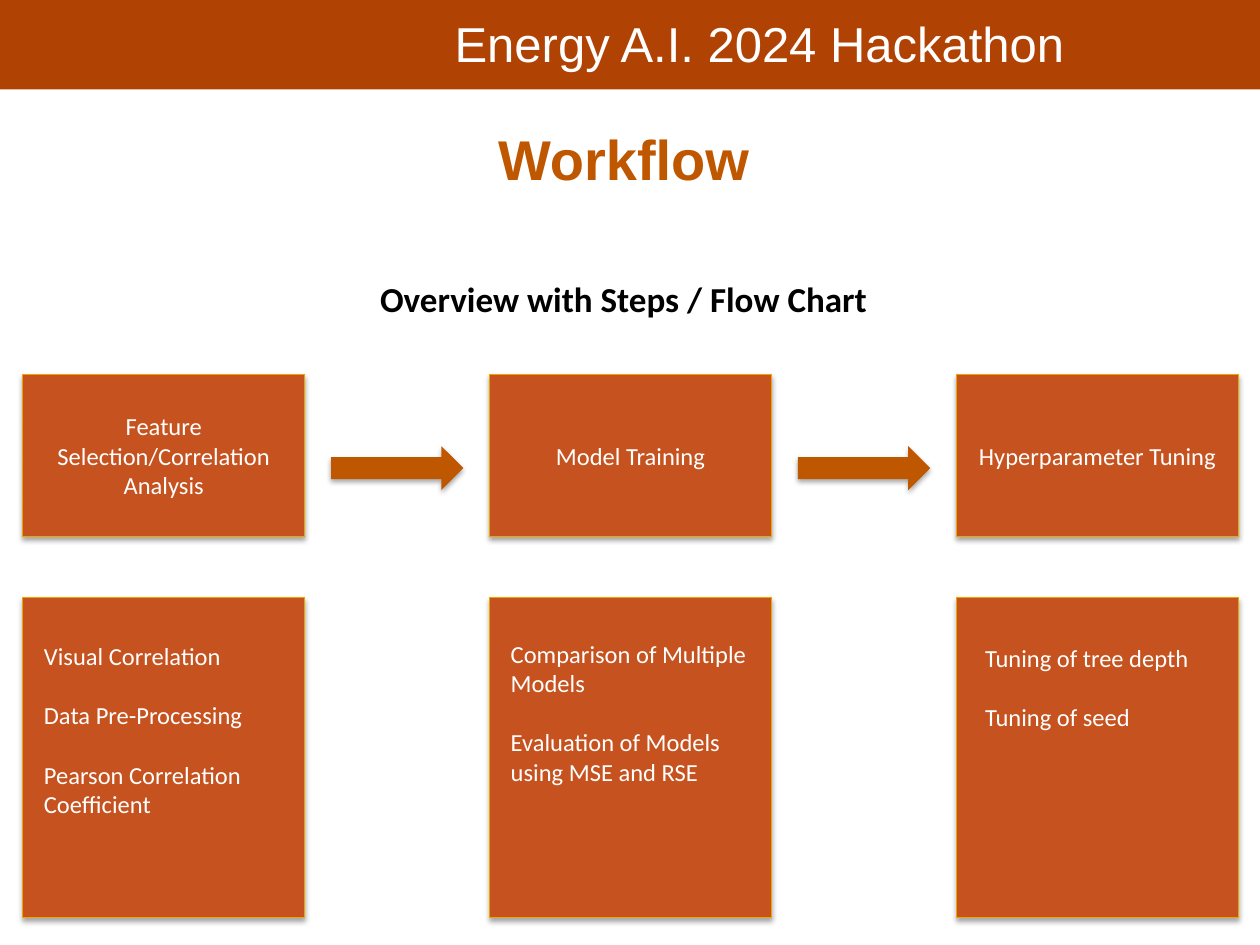
from dataclasses import dataclass

from lxml import etree
from pptx import Presentation
from pptx import util as u
from pptx.dml.color import RGBColor
from pptx.enum import shapes, text
from pptx.oxml.ns import qn

# Slide grid, in inches
SLIDE_W, SLIDE_H = 10, 7.5
LEFT, BOX_W = 0.18, 2.24
PITCH = (7.59 - LEFT) / 2
STEP_TOP, STEP_H = 2.97, 1.29
PANEL_TOP, PANEL_H = 4.74, 2.54
ARROW_TOP, ARROW_W, ARROW_H = 3.54, 1.05, 0.35

BANNER, BOX, EDGE, ACCENT = "B04304", "C6531F", "EDA500", "BF5700"
WHITE, BLACK = "FFFFFF", "000000"


@dataclass
class Style:
    size: float
    font: str = "Calibri"
    color: str = WHITE
    bold: bool = False
    align: text.PP_ALIGN = text.PP_ALIGN.LEFT
    before: float = 0


@dataclass
class Step:
    title: str
    details: list[str]
    inset: float
    top: float


BODY = Style(14)
DETAIL = Style(14, before=17)
STEP = Style(14, align=text.PP_ALIGN.CENTER)
STEPS = [
    Step("Feature Selection/Correlation Analysis",
         ["Visual Correlation", "Data Pre-Processing",
          "Pearson Correlation Coefficient"], 0.07, 5.04),
    Step("Model Training",
         ["Comparison of Multiple Models",
          "Evaluation of Models using MSE and RSE"], 0.07, 5.02),
    Step("Hyperparameter Tuning",
         ["Tuning of tree depth", "Tuning of seed"], 0.13, 5.05),
]


def rgb(value: str) -> RGBColor:
    return RGBColor.from_string(value)


def write(tf, lines: list[tuple[str, Style]]) -> None:
    for i, (line, style) in enumerate(lines):
        p = tf.add_paragraph() if i else tf.paragraphs[0]
        p.text = line
        p.alignment = style.align
        p.space_before = u.Pt(style.before)
        font = p.runs[0].font
        font.size, font.name, font.bold = u.Pt(style.size), style.font, style.bold
        font.color.rgb = rgb(style.color)


def add_text(s, x: float, y: float, w: float, h: float,
             lines: list[tuple[str, Style]], wrap: bool = True) -> None:
    tf = s.shapes.add_textbox(*map(u.Inches, (x, y, w, h))).text_frame
    tf.word_wrap = wrap
    tf.auto_size = text.MSO_AUTO_SIZE.SHAPE_TO_FIT_TEXT
    write(tf, lines)


def add_shadow(sp) -> None:
    effects = sp._element.spPr.find(qn("a:effectLst"))
    outer = etree.SubElement(effects, qn("a:outerShdw"), blurRad=str(u.Pt(3.1)),
                             dist=str(u.Pt(1.8)), dir="5400000", rotWithShape="0")
    color = etree.SubElement(outer, qn("a:srgbClr"), val=BLACK)
    etree.SubElement(color, qn("a:alpha"), val="35000")


def add_block(s, kind, x: float, y: float, w: float, h: float, fill: str,
              edge: str | None = None, shadow: bool = True):
    sp = s.shapes.add_shape(kind, *map(u.Inches, (x, y, w, h)))
    sp.fill.solid()
    sp.fill.fore_color.rgb = rgb(fill)
    if edge:
        sp.line.color.rgb = rgb(edge)
        sp.line.width = u.Pt(0.75)
    else:
        sp.line.fill.background()
    sp.shadow.inherit = False
    if shadow:
        add_shadow(sp)
    return sp


def add_step(s, col: int, step: Step) -> None:
    x = LEFT + col * PITCH
    rect = shapes.MSO_SHAPE.RECTANGLE
    # Step box
    sp = add_block(s, rect, x, STEP_TOP, BOX_W, STEP_H, BOX, EDGE)
    tf = sp.text_frame
    tf.word_wrap = True
    tf.vertical_anchor = text.MSO_ANCHOR.MIDDLE
    write(tf, [(step.title, STEP)])
    # Detail panel with its text
    add_block(s, rect, x, PANEL_TOP, BOX_W, PANEL_H, BOX, EDGE)
    lines = [(line, DETAIL if i else BODY) for i, line in enumerate(step.details)]
    add_text(s, x + step.inset, step.top, 2.09, 1.75, lines)
    # Arrow centred in the gap to the next step
    if col < len(STEPS) - 1:
        gap = PITCH - BOX_W
        add_block(s, shapes.MSO_SHAPE.RIGHT_ARROW, x + BOX_W + (gap - ARROW_W) / 2,
                  ARROW_TOP, ARROW_W, ARROW_H, ACCENT)


def main() -> None:
    prs = Presentation()
    prs.slide_width, prs.slide_height = u.Inches(SLIDE_W), u.Inches(SLIDE_H)
    s = prs.slides.add_slide(prs.slide_layouts[6])

    # Banner
    add_block(s, shapes.MSO_SHAPE.RECTANGLE, 0, -0.01, SLIDE_W, 0.72, BANNER,
              shadow=False)
    add_text(s, 3.51, 0.06, 5.21, 0.57,
             [("Energy A.I. 2024 Hackathon", Style(28, "Arial"))], wrap=False)

    # Title and subtitle
    center = text.PP_ALIGN.CENTER
    add_text(s, 0.55, 0.94, 8.8, 1.95, [
        ("Workflow", Style(32, "Arial", ACCENT, True, center)),
        ("Overview with Steps / Flow Chart",
         Style(20, "Calibri", BLACK, True, center, before=49)),
    ])

    # Workflow columns
    for col, step in enumerate(STEPS):
        add_step(s, col, step)

    prs.save("out.pptx")


if __name__ == "__main__":
    main()
